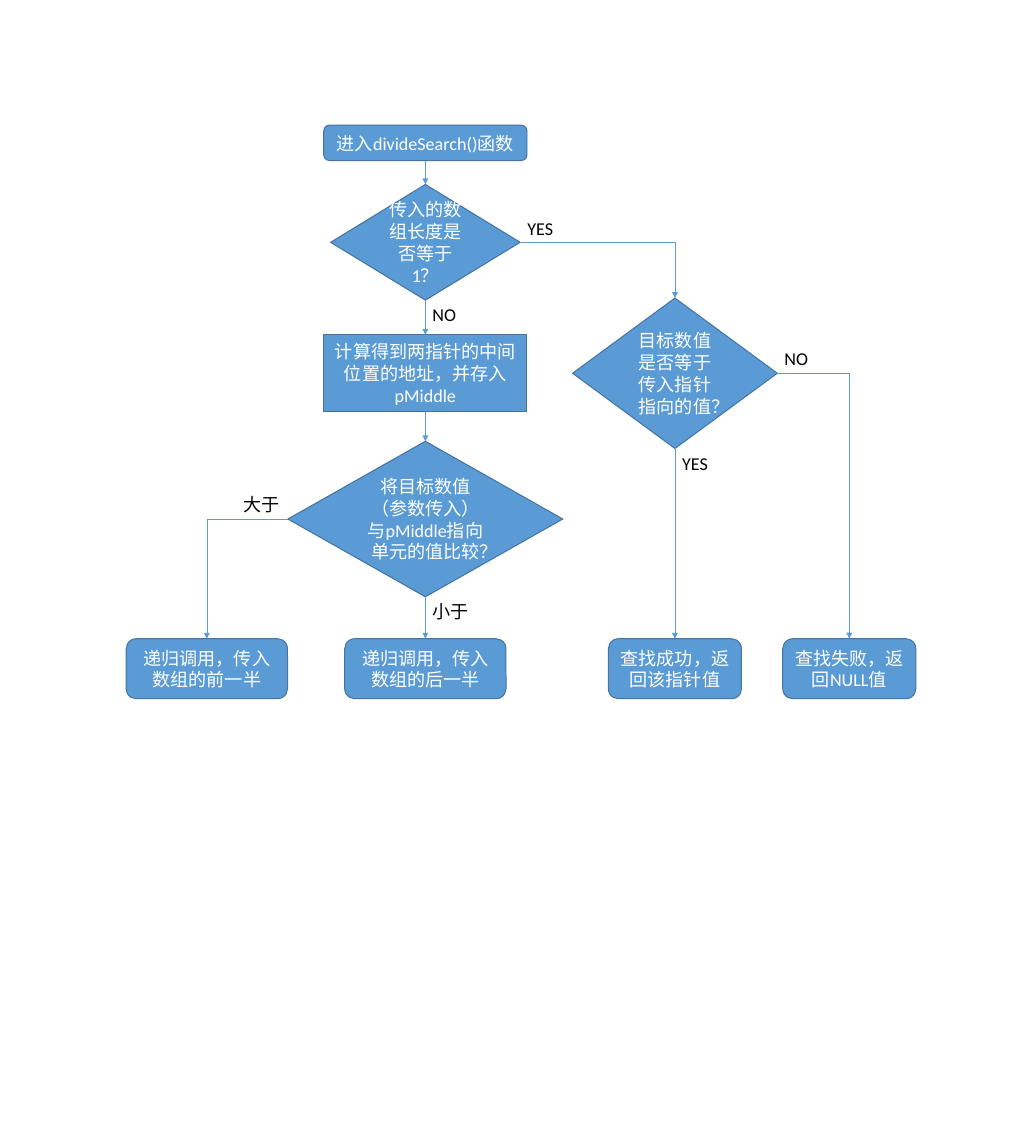
from lxml import etree
from pptx import Presentation
from pptx.dml.color import RGBColor
from pptx.enum.shapes import MSO_CONNECTOR, MSO_SHAPE
from pptx.enum.text import MSO_ANCHOR, MSO_AUTO_SIZE, PP_ALIGN
from pptx.oxml.ns import qn
from pptx.util import Inches, Pt

COLORS = {"box": "5B9BD5", "outline": "43739E", "box_text": "FFFFFF", "label": "000000"}
TOP, LEFT, BOTTOM, RIGHT = range(4)  # connection sites of a box


def rgb(name):
    """Return the named colour."""
    return RGBColor.from_string(COLORS[name])


def write(shape, text, color="box_text", align=PP_ALIGN.CENTER,
          anchor=MSO_ANCHOR.MIDDLE, wrap=True, fit=MSO_AUTO_SIZE.NONE):
    """Put formatted text into a shape."""
    frame = shape.text_frame
    frame.word_wrap = wrap
    frame.auto_size = fit
    frame.vertical_anchor = anchor
    paragraph = frame.paragraphs[0]
    paragraph.alignment = align
    run = paragraph.add_run()
    run.text = text
    run.font.name = "Calibri"
    run.font.size = Pt(18)
    run.font.color.rgb = rgb(color)
    run._r.get_or_add_rPr().set("lang", "zh-CN")


prs = Presentation()
prs.slide_width = Inches(14.21)
prs.slide_height = Inches(15.87)
slide = prs.slides.add_slide(prs.slide_layouts[6])

# Column centres and the row of results
first_half_x, main_x, single_x, failure_x = 2.86, 5.88, 9.33, 11.74
result_top, result_height = 8.83, 0.83
ROUNDED, DIAMOND = MSO_SHAPE.ROUNDED_RECTANGLE, MSO_SHAPE.DIAMOND

# key: preset, centre x, top, width, height, text
steps = {
    "enter": (ROUNDED, main_x, 1.73, 2.81, 0.49, "进入divideSearch()函数"),
    "length": (DIAMOND, main_x, 2.55, 2.62, 1.6, "传入的数组长度是否等于1？"),
    "middle": (MSO_SHAPE.RECTANGLE, main_x, 4.63, 2.81, 1.06,
               "计算得到两指针的中间位置的地址，并存入pMiddle"),
    "compare": (DIAMOND, main_x, 6.1, 3.8, 2.15,
                "将目标数值（参数传入）与pMiddle指向单元的值比较？"),
    "equal": (DIAMOND, single_x, 4.12, 2.83, 2.08,
              "目标数值是否等于传入指针指向的值？"),
    "first_half": (ROUNDED, first_half_x, result_top, 2.23, result_height,
                   "递归调用，传入数组的前一半"),
    "second_half": (ROUNDED, main_x, result_top, 2.23, result_height,
                    "递归调用，传入数组的后一半"),
    "success": (ROUNDED, single_x, result_top, 1.84, result_height,
                "查找成功，返回该指针值"),
    "failure": (ROUNDED, failure_x, result_top, 1.84, result_height,
                "查找失败，返回NULL值"),
}
boxes = {}
for key, (preset, center, top, width, height, text) in steps.items():
    box = slide.shapes.add_shape(preset, Inches(center - width / 2), Inches(top),
                                 Inches(width), Inches(height))
    box.shadow.inherit = False
    box.fill.solid()
    box.fill.fore_color.rgb = rgb("box")
    box.line.color.rgb = rgb("outline")
    box.line.width = Pt(1)
    write(box, text, wrap=key != "enter")  # the entry box holds a single line
    boxes[key] = box

# start, site it leaves from, end, label, label width
flows = [
    ("enter", BOTTOM, "length", None, 0),
    ("length", BOTTOM, "middle", "NO", 0.58),
    ("length", RIGHT, "equal", "YES", 0.61),
    ("middle", BOTTOM, "compare", None, 0),
    ("compare", LEFT, "first_half", "大于", 0.77),
    ("compare", BOTTOM, "second_half", "小于", 0.77),
    ("equal", BOTTOM, "success", "YES", 0.61),
    ("equal", RIGHT, "failure", "NO", 0.58),
]
for start, site, end, label, label_width in flows:
    kind = MSO_CONNECTOR.STRAIGHT if site == BOTTOM else MSO_CONNECTOR.ELBOW
    arrow = slide.shapes.add_connector(kind, 0, 0, 0, 0)
    arrow.begin_connect(boxes[start], site)
    arrow.end_connect(boxes[end], TOP)
    arrow.line.color.rgb = rgb("box")
    arrow.line.width = Pt(0.5)
    properties = arrow._element.spPr
    if kind == MSO_CONNECTOR.ELBOW:
        properties.find(qn("a:prstGeom")).set("prst", "bentConnector2")
    etree.SubElement(properties.find(qn("a:ln")), qn("a:tailEnd"), type="triangle")
    etree.SubElement(properties, qn("a:effectLst"))

    if label:
        left, top = arrow.begin_x, arrow.begin_y
        if site != BOTTOM:
            top -= Inches(0.4)
        if site == LEFT:
            left -= Inches(0.71)
        note = slide.shapes.add_textbox(left, top, Inches(label_width), Inches(0.44))
        write(note, label, color="label", align=PP_ALIGN.LEFT, anchor=MSO_ANCHOR.TOP,
              wrap=False, fit=MSO_AUTO_SIZE.SHAPE_TO_FIT_TEXT)

prs.save("out.pptx")
